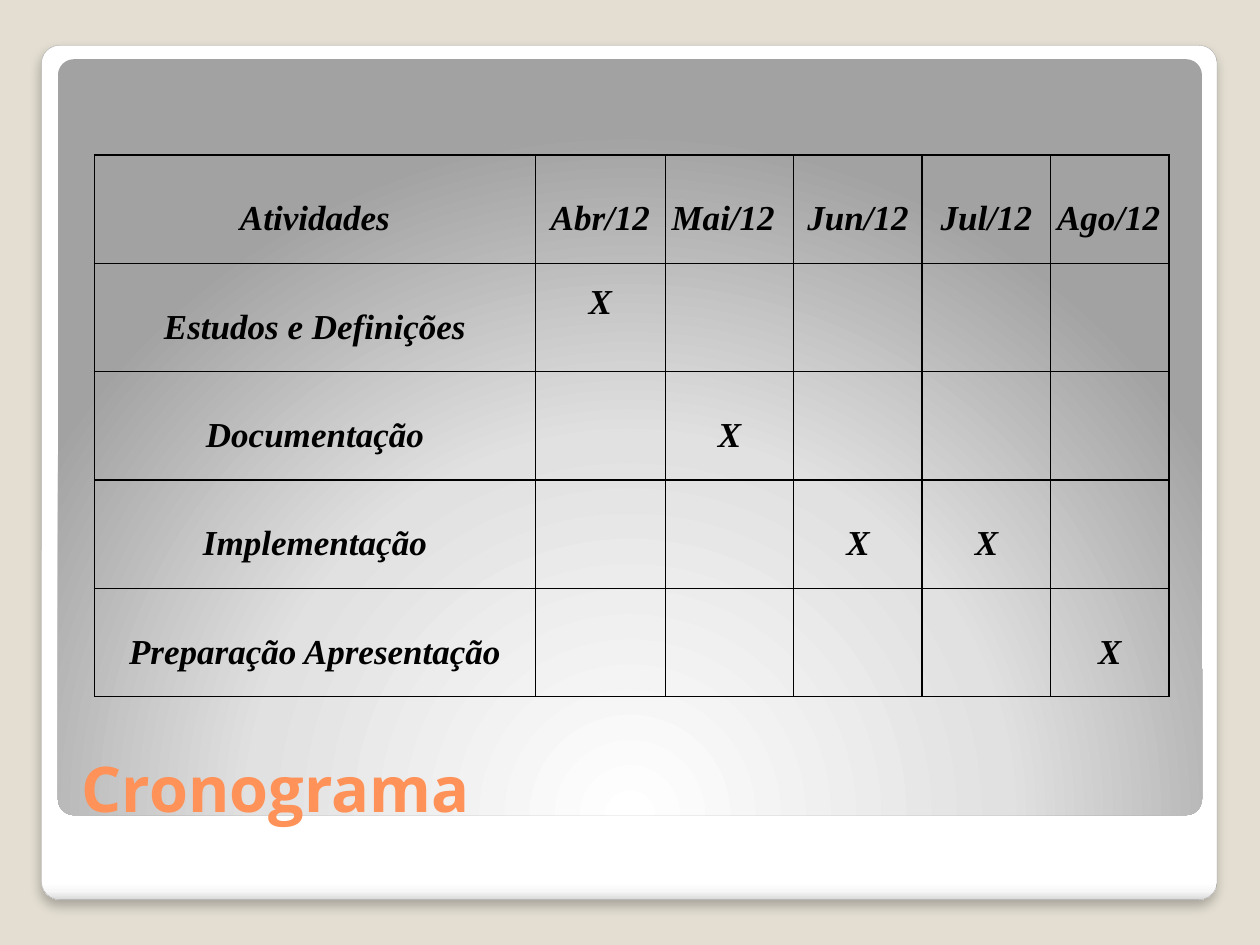
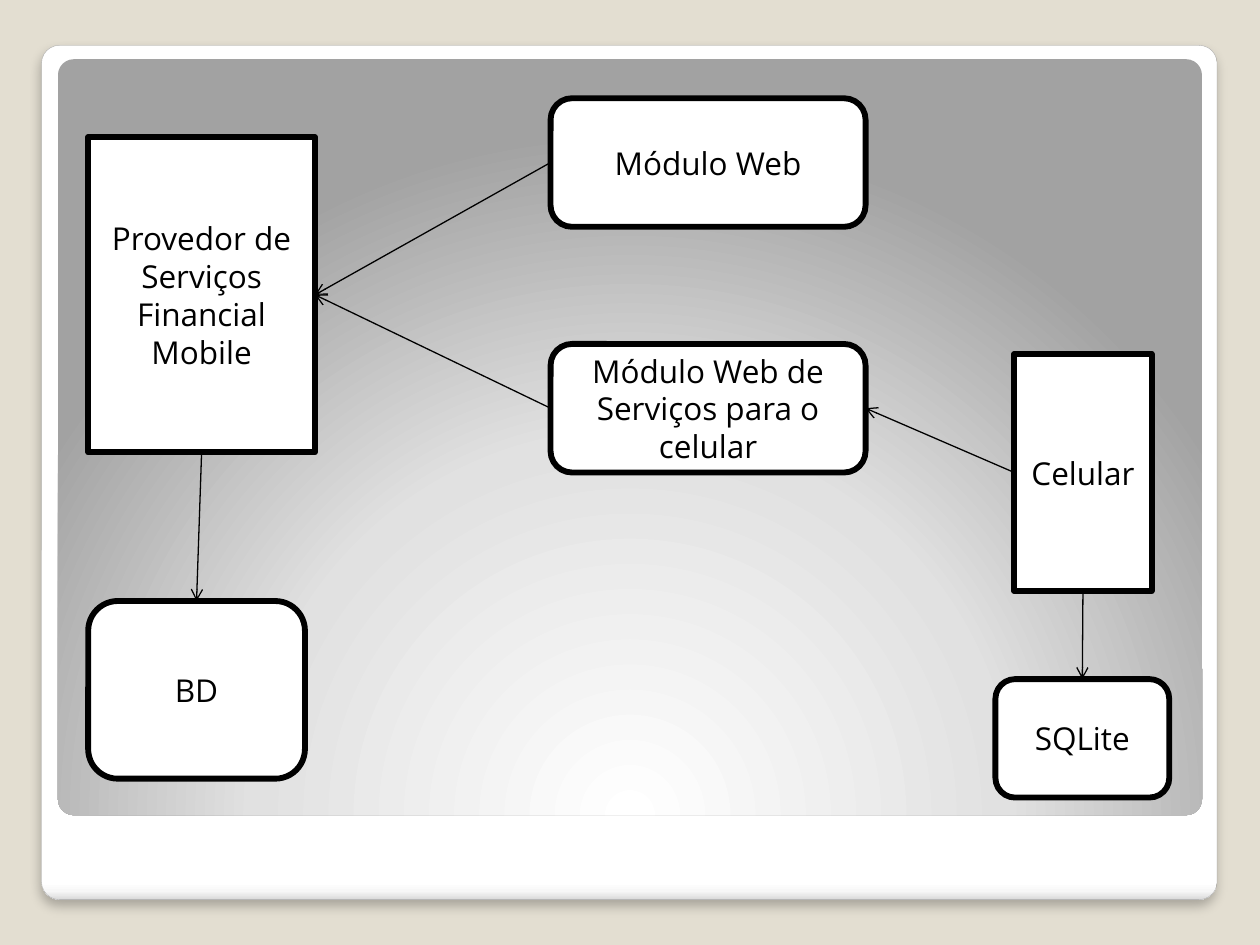
from lxml.etree import SubElement as Sub
from pptx import Presentation
from pptx.dml.color import RGBColor
from pptx.enum.shapes import MSO_CONNECTOR as Conn, MSO_SHAPE as Kind
from pptx.enum.text import MSO_ANCHOR as Anchor, PP_ALIGN as Align
from pptx.oxml.ns import qn
from pptx.util import Inches, Pt

SAND = RGBColor(0xE3, 0xDE, 0xD1)
EDGE = RGBColor(0xA4, 0xA4, 0xA4)
ORANGE = RGBColor(0xFF, 0x92, 0x58)
WHITE = RGBColor(0xFF, 0xFF, 0xFF)
BLACK = RGBColor(0, 0, 0)
SANS, SERIF = "Open Sans", "Times New Roman"
TOP, LEFT, BOTTOM, RIGHT = range(4)  # connection sites of a box

HEAD = ["Atividades", "Abr/12", "Mai/12", "Jun/12", "Jul/12", "Ago/12"]
TASKS = [("Estudos e Definições", [1]), ("Documentação", [2]),
         ("Implementação", [3, 4]), ("Preparação Apresentação", [5])]
WIDTHS = [3.5, 1.03, 1.02, 1.02, 1.02, 0.94]
ROW = 0.86

BOXES = {
    "provider": (Kind.RECTANGLE, (0.7, 1.09, 1.8, 2.5),
                 ["Provedor de", "Serviços", "Financial Mobile"]),
    "web": (Kind.ROUNDED_RECTANGLE, (4.37, 0.78, 2.5, 1.02), ["Módulo Web"]),
    "service": (Kind.ROUNDED_RECTANGLE, (4.37, 2.73, 2.5, 1.02),
                ["Módulo Web de Serviços para o celular"]),
    "phone": (Kind.RECTANGLE, (8.05, 2.81, 1.09, 1.88), ["Celular"]),
    "store": (Kind.ROUNDED_RECTANGLE, (0.7, 4.77, 1.72, 1.41), ["BD"]),
    "lite": (Kind.ROUNDED_RECTANGLE, (7.9, 5.39, 1.38, 0.94), ["SQLite"]),
}
LINKS = [("phone", LEFT, "service", RIGHT), ("web", LEFT, "provider", RIGHT),
         ("service", LEFT, "provider", RIGHT),
         ("provider", BOTTOM, "store", TOP), ("phone", BOTTOM, "lite", TOP)]


def node(parent, tag, **attrs):
    """Add a drawing element under parent."""
    return Sub(parent, qn("a:" + tag), {k: str(v) for k, v in attrs.items()})


def add_run(para, text, size, font, color, bold=False, italic=False):
    """Add one styled run."""
    run = para.add_run()
    run.text = text
    face = run.font
    face.size, face.name = Pt(size), font
    face.bold, face.italic = bold, italic
    face.color.rgb = color


def add_shape(slide, kind, box, line=None, width=0):
    """Add a white shape without shadow, outlined if a line colour is given."""
    shape = slide.shapes.add_shape(kind, *map(Inches, box))
    shape.shadow.inherit = False
    shape.fill.solid()
    shape.fill.fore_color.rgb = WHITE
    if line is None:
        shape.line.fill.background()
    else:
        shape.line.color.rgb = line
        shape.line.width = Pt(width)
    return shape


def set_grad(shape, stops):
    """Swap the solid fill for gradient stops and return the gradient."""
    props = shape.element.spPr
    grad = node(props, "gradFill", rotWithShape=1)
    props.replace(props.find(qn("a:solidFill")), grad)
    group = node(grad, "gsLst")
    for pos, color in stops:
        node(node(group, "gs", pos=pos * 1000), "srgbClr", val=color)
    return grad


def add_frame(slide):
    """Draw the white card and the grey panel that all slides share."""
    card = add_shape(slide, Kind.ROUNDED_RECTANGLE,
                     (0.33, 0.36, 9.33, 6.78), EDGE, 0.16)
    panel = add_shape(slide, Kind.ROUNDED_RECTANGLE, (0.46, 0.47, 9.08, 6))
    for shape in (card, panel):
        shape.adjustments[0] = 0.021
    grad = set_grad(card, [(0, "FFFFFF"), (98, "FFFFFF"),
                           (99, "F7F7F7"), (100, "DADADA")])
    node(grad, "lin", ang=90 * 60000, scaled=0)
    shade = node(card.element.spPr.find(qn("a:effectLst")), "outerShdw",
                 blurRad=Pt(6), dist=Pt(4), dir=90 * 60000, rotWithShape=0)
    node(node(shade, "srgbClr", val="000000"), "alpha", val=25000)
    grad = set_grad(panel, [(0, "FFFFFF"), (55, "E1E1E1"), (100, "A2A2A2")])
    node(node(grad, "path", path="circle"), "fillToRect",
         l=50000, t=175000, r=50000, b=-75000)


def add_title(slide, text):
    """Add the orange title at the foot of the panel."""
    box = slide.shapes.add_textbox(*map(Inches, (0.55, 5.45, 8.95, 1.15)))
    frame = box.text_frame
    frame.word_wrap = True
    frame.vertical_anchor = Anchor.BOTTOM
    add_run(frame.paragraphs[0], text, 36, SANS, ORANGE, bold=True)


def set_cell(cell, text, align=Align.CENTER, anchor=Anchor.MIDDLE):
    """Fill one table cell and rule its four sides."""
    props = cell._tc.get_or_add_tcPr()
    for side in ("lnL", "lnR", "lnT", "lnB"):
        rule = node(props, side, w=Pt(1))
        node(node(rule, "solidFill"), "srgbClr", val=BLACK)
    cell.fill.background()
    cell.margin_left = cell.margin_right = Inches(0.05)
    cell.margin_top = cell.margin_bottom = 0
    cell.vertical_anchor = anchor
    if text:
        para = cell.text_frame.paragraphs[0]
        para.alignment = align
        para.line_spacing, para.space_before = 1.5, Pt(6)
        add_run(para, text, 20, SERIF, BLACK, bold=True, italic=True)


def add_plan(slide):
    """Add the timetable with an X in each month of a task."""
    rows = [HEAD] + [[name] + ["X" if col in months else ""
                               for col in range(1, len(HEAD))]
                     for name, months in TASKS]
    table = slide.shapes.add_table(
        len(rows), len(HEAD), Inches(0.75), Inches(1.23),
        Inches(sum(WIDTHS)), Inches(ROW * len(rows))).table
    table.first_row = table.horz_banding = False
    for col, width in zip(table.columns, WIDTHS):
        col.width = Inches(width)
    for r, texts in enumerate(rows):
        table.rows[r].height = Inches(ROW)
        for c, text in enumerate(texts):
            align = (Align.JUSTIFY if text in ("Mai/12", "Ago/12")
                     else Align.CENTER)
            anchor = Anchor.TOP if (r, c) == (1, 1) else Anchor.MIDDLE
            set_cell(table.cell(r, c), text, align, anchor)


def add_box(slide, kind, box, lines):
    """Add a labelled box with a thick black outline."""
    shape = add_shape(slide, kind, box, BLACK, 3.35)
    frame = shape.text_frame
    frame.word_wrap = True
    frame.vertical_anchor = Anchor.MIDDLE
    for i, text in enumerate(lines):
        para = frame.add_paragraph() if i else frame.paragraphs[0]
        para.alignment = Align.CENTER
        add_run(para, text, 18, SANS, BLACK)
    return shape


def add_link(slide, start, out, end, into):
    """Join two boxes with an arrow."""
    link = slide.shapes.add_connector(Conn.STRAIGHT, 0, 0, 0, 0)
    link.begin_connect(start, out)
    link.end_connect(end, into)
    link.line.color.rgb = BLACK
    link.line.width = Pt(0.75)
    props = link._element.spPr
    node(props.find(qn("a:ln")), "tailEnd", type="arrow")
    node(props, "effectLst")


def add_slide(deck):
    """Add a blank slide with the shared frame."""
    slide = deck.slides.add_slide(deck.slide_layouts[6])
    add_frame(slide)
    return slide


def main():
    """Build the two slides."""
    deck = Presentation()
    deck.slide_width, deck.slide_height = Inches(10), Inches(7.5)
    back = deck.slide_master.background.fill
    back.solid()
    back.fore_color.rgb = SAND

    slide = add_slide(deck)
    add_title(slide, "Cronograma")
    add_plan(slide)

    slide = add_slide(deck)
    boxes = {key: add_box(slide, *spot) for key, spot in BOXES.items()}
    for start, out, end, into in LINKS:
        add_link(slide, boxes[start], out, boxes[end], into)

    deck.save("out.pptx")


main()
